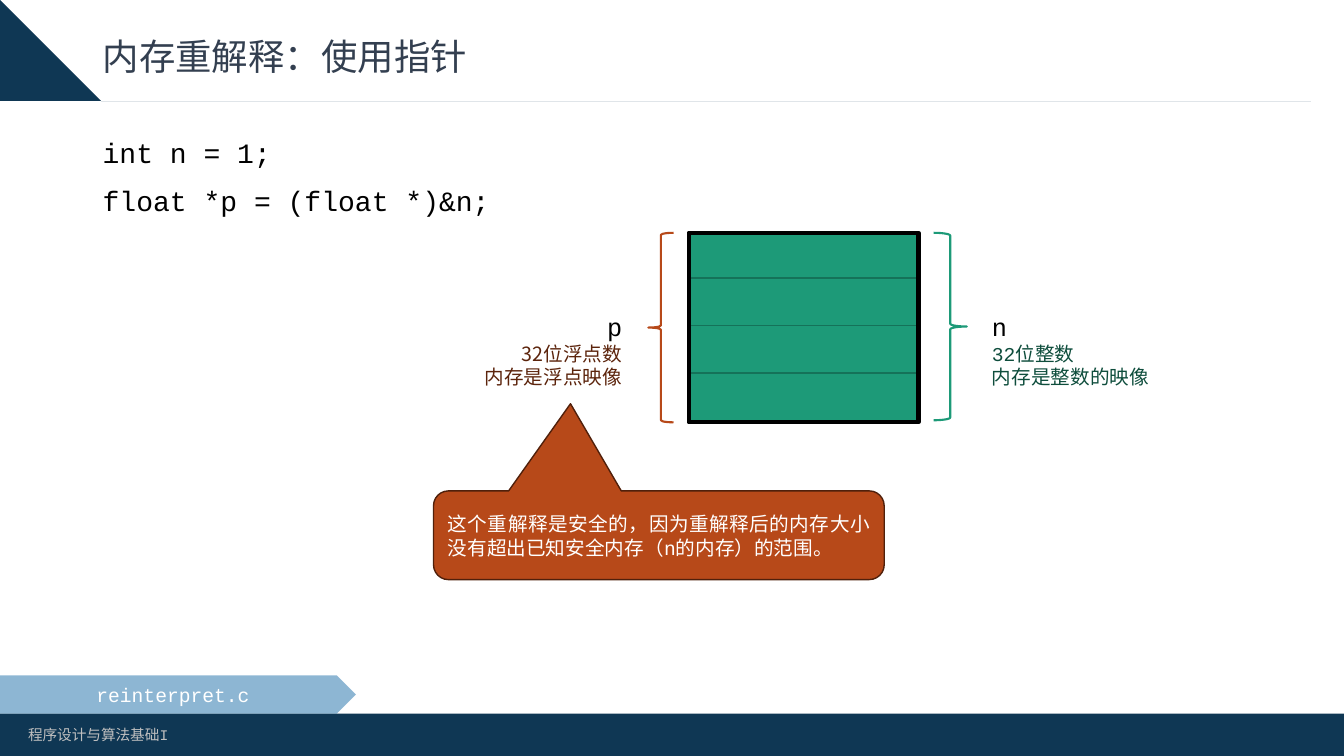
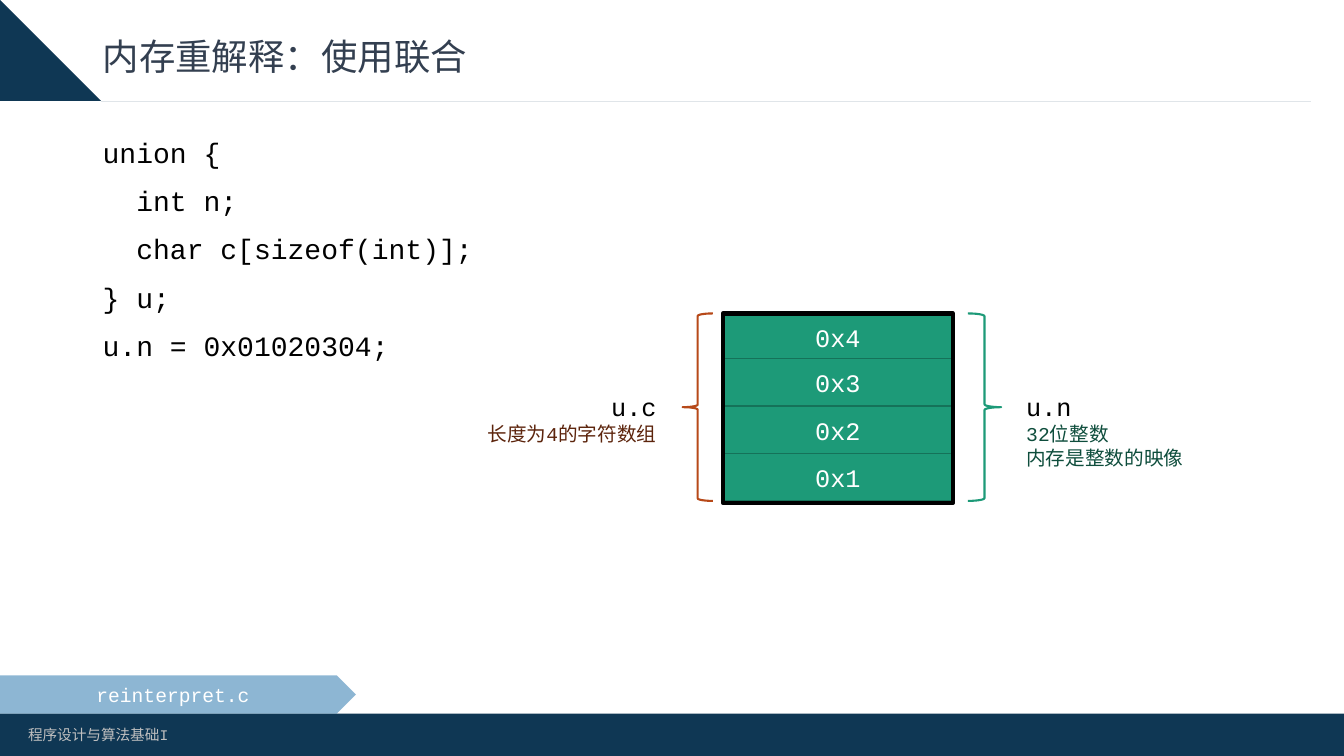
"""Build two slides on reinterpreting memory in C."""
from lxml.etree import SubElement
from pptx import Presentation
from pptx.dml.color import RGBColor
from pptx.enum.shapes import MSO_SHAPE
from pptx.enum.text import MSO_ANCHOR, PP_ALIGN
from pptx.oxml.ns import qn
from pptx.util import Inches, Pt

MONO, SANS = "Courier New", "Noto Sans CJK SC"
NAVY, BLUE, WHITE, BLACK = "0F3754", "1D6FA9", "FFFFFF", "000000"
GREEN, GREEN_LINE, GREEN_TEXT = "1D9A78", "157259", "0E4D3C"
RUST, RUST_LINE, RUST_TEXT = "B74919", "50200B", "5C240C"
TITLE, FOOTER = "333F50", "BFBFBF"
LEADING = 1.22
CELL_W, CELL_H = 2.28, 0.47

COURSE = "程序设计与算法基础I"
SOURCE_FILE = "reinterpret.c"
INTEGER_NOTES = ["32位整数", "内存是整数的映像"]
SLIDES = [
    {
        "title": "内存重解释：使用指针",
        "code": ["int n = 1;", "float *p = (float *)&n;"],
        "memory": (6.83, 2.31),
        "bytes": ["", "", "", ""],
        "left": ["p", "32位浮点数", "内存是浮点映像"],
        "left_font": SANS,
        "left_brace": (0.25, 1.88),
        "right": ["n"] + INTEGER_NOTES,
        "callout": "这个重解释是安全的，因为重解释后的内存大小没有超出已知安全内存（n的内存）的范围。",
    },
    {
        "title": "内存重解释：使用联合",
        "code": ["union {", "  int n;", "  char c[sizeof(int)];", "} u;",
                 "u.n = 0x01020304;"],
        "memory": (7.17, 3.11),
        "bytes": ["0x4", "0x3", "0x2", "0x1"],
        "left": ["u.c", "长度为4的字符数组"],
        "left_font": MONO,
        "left_brace": (0.3, 1.86),
        "right": ["u.n"] + INTEGER_NOTES,
        "callout": "",
    },
]


def rgb(value):
    """Turn a hex string into a colour."""
    return RGBColor.from_string(value)


def paint(sp, fill=None, line=None, width=1):
    """Set fill and outline, and drop the shadow."""
    sp.shadow.inherit = False
    if fill:
        sp.fill.solid()
        sp.fill.fore_color.rgb = rgb(fill)
    else:
        sp.fill.background()
    if line:
        sp.line.color.rgb = rgb(line)
        sp.line.width = Pt(width)
    else:
        sp.line.fill.background()
    return sp


def shape(s, kind, x, y, w, h, fill=None, line=None, width=1):
    """Add a painted preset shape."""
    sp = s.shapes.add_shape(kind, Inches(x), Inches(y), Inches(w), Inches(h))
    return paint(sp, fill, line, width)


def polygon(s, points, fill):
    """Add a filled outline."""
    builder = s.shapes.build_freeform(*points[0], scale=Inches(1))
    builder.add_line_segments(points[1:], close=True)
    paint(builder.convert_to_shape(), fill)


def style(p, size, color, font=MONO, align=PP_ALIGN.LEFT):
    """Format a paragraph and its runs."""
    p.alignment = align
    p.line_spacing = Pt(size * LEADING)
    for r in p.runs:
        r.font.size = Pt(size)
        r.font.name = font
        r.font.color.rgb = rgb(color)
        SubElement(r.font._element, qn("a:ea"), typeface=SANS)


def write(sp, text, size, color, align=PP_ALIGN.LEFT, anchor=MSO_ANCHOR.MIDDLE):
    """Fill a shape with text in one style."""
    tf = sp.text_frame
    tf.word_wrap = True
    tf.vertical_anchor = anchor
    tf.text = text
    for p in tf.paragraphs:
        style(p, size, color, align=align)
    return tf


def box(s, x, y, w, h):
    """Add an empty text box."""
    return s.shapes.add_textbox(Inches(x), Inches(y), Inches(w), Inches(h))


def frame(s, title):
    """Draw the title, bands and footer of every slide."""
    polygon(s, [(0.92, 0.8), (13.33, 0.8), (13.33, 0.87), (0.93, 0.87)], NAVY)
    polygon(s, [(0.43, 0.23), (0.86, 0.87), (0, 0.87), (0, 0.23)], NAVY)
    shape(s, MSO_SHAPE.RECTANGLE, 0, 7.08, 13.33, 0.42, NAVY)
    write(box(s, 0.18, 7.15, 4.32, 0.29), COURSE, 10.5, FOOTER, anchor=MSO_ANCHOR.TOP)
    write(box(s, 0.92, 0.23, 11.5, 0.64), title, 26, TITLE)
    tag = shape(s, MSO_SHAPE.PENTAGON, 0, 6.7, 3.53, 0.38, BLUE)
    color = tag.fill._xPr.find(qn("a:solidFill"))[0]
    SubElement(color, qn("a:alpha"), val="50000")
    write(tag, SOURCE_FILE, 14, WHITE, PP_ALIGN.CENTER)


def code_block(s, lines):
    """Write the code listing."""
    tf = write(box(s, 0.92, 1.29, 11.5, 5), "\n".join(lines), 20, BLACK,
               anchor=MSO_ANCHOR.TOP)
    for p in tf.paragraphs[1:]:
        p.space_before = Pt(10)


def label(s, x, y, w, lines, color, font, align):
    """Write a variable name with notes below it."""
    tf = box(s, x, y, w, 0.88).text_frame
    tf.word_wrap = True
    tf.text = "\n".join(lines)
    style(tf.paragraphs[0], 18, BLACK, align=align)
    for p in tf.paragraphs[1:]:
        style(p, 14, color, font, align)


def memory_diagram(s, data):
    """Draw the memory cells, both braces and their labels."""
    x, y = data["memory"]
    for i, value in enumerate(data["bytes"]):
        top = y + max(0, i * CELL_H - 0.02)
        cell = shape(s, MSO_SHAPE.RECTANGLE, x, top, CELL_W, CELL_H, GREEN, GREEN_LINE)
        if value:
            write(cell, value, 18, WHITE, PP_ALIGN.CENTER)
    shape(s, MSO_SHAPE.RECTANGLE, x, y, CELL_W, 4 * CELL_H, line=BLACK, width=3)
    shape(s, MSO_SHAPE.RIGHT_BRACE, x + 2.43, y, 0.33, 1.86, line=GREEN, width=1.5)
    shape(s, MSO_SHAPE.LEFT_BRACE, x - 0.4, y, *data["left_brace"], line=RUST, width=1.5)
    label(s, x + 2.91, y + 0.72, 2.21, data["right"], GREEN_TEXT, MONO, PP_ALIGN.LEFT)
    label(s, x - 2.85, y + 0.72, 2.29, data["left"], RUST_TEXT, data["left_font"],
          PP_ALIGN.RIGHT)


def callout(s, text):
    """Add the speech bubble pointing at the left label."""
    sp = shape(s, MSO_SHAPE.ROUNDED_RECTANGULAR_CALLOUT, 4.3, 4.87, 4.47, 0.88,
               RUST, RUST_LINE)
    for i, value in enumerate((-0.196, -1.483, 0.167)):
        sp.adjustments[i] = value
    write(sp, text, 14, WHITE, PP_ALIGN.JUSTIFY)


def main():
    """Build and save the deck."""
    prs = Presentation()
    prs.slide_width, prs.slide_height = Inches(13.33), Inches(7.5)
    for data in SLIDES:
        s = prs.slides.add_slide(prs.slide_layouts[6])
        frame(s, data["title"])
        code_block(s, data["code"])
        memory_diagram(s, data)
        if data["callout"]:
            callout(s, data["callout"])
    prs.save("out.pptx")


if __name__ == "__main__":
    main()
